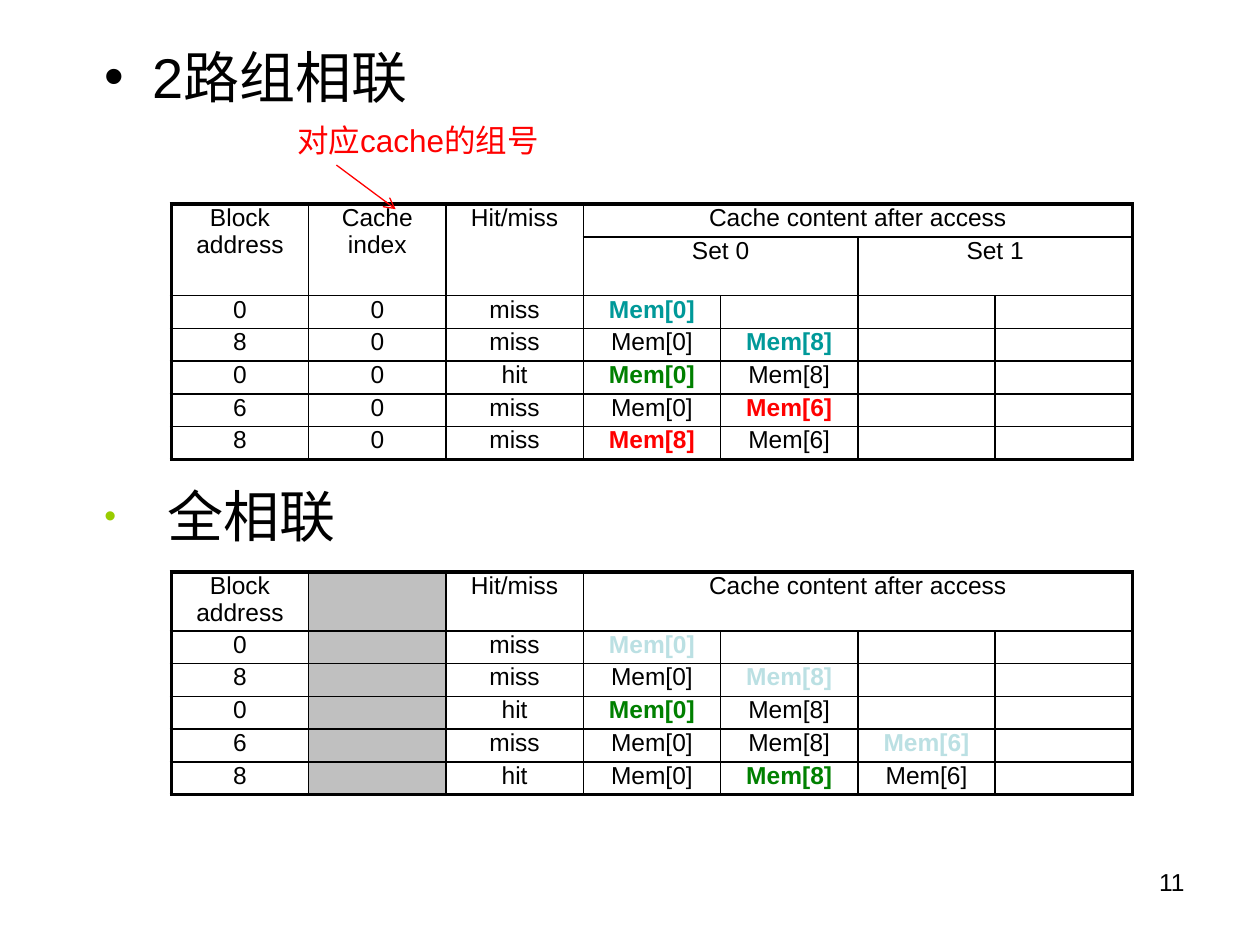
from lxml import etree
from pptx import Presentation
from pptx import util as u
from pptx.dml.color import RGBColor
from pptx.enum import shapes, text
from pptx.oxml import ns

BLACK = RGBColor(0x00, 0x00, 0x00)
RED = RGBColor(0xFF, 0x00, 0x00)
GREEN = RGBColor(0x00, 0x80, 0x00)
TEAL = RGBColor(0x00, 0x99, 0x99)
PALE = RGBColor(0xBB, 0xE0, 0xE3)
GRAY = RGBColor(0xC0, 0xC0, 0xC0)
LIME = RGBColor(0x99, 0xCC, 0x00)

COLUMNS = 7
COLUMN_WIDTH = 1.09
ROW_HEIGHT = 0.26
TALL_ROW = 0.44
TABLE_LEFT = 1.36
THIN, THICK = 1, 2.25

SET_ROWS = [
    ["Block address", "Cache index", "Hit/miss", "Cache content after access"],
    ["", "", "", "Set 0", "", "Set 1"],
    ["0", "0", "miss", "Mem[0]"],
    ["8", "0", "miss", "Mem[0]", "Mem[8]"],
    ["0", "0", "hit", "Mem[0]", "Mem[8]"],
    ["6", "0", "miss", "Mem[0]", "Mem[6]"],
    ["8", "0", "miss", "Mem[8]", "Mem[6]"],
]
SET_MERGES = [(0, 0, 1, 0), (0, 1, 1, 1), (0, 2, 1, 2),
              (0, 3, 0, 6), (1, 3, 1, 4), (1, 5, 1, 6)]
SET_MARKS = {(2, 3): TEAL, (3, 4): TEAL, (4, 3): GREEN, (5, 4): RED, (6, 3): RED}

FULL_ROWS = [
    ["Block address", "", "Hit/miss", "Cache content after access"],
    ["0", "", "miss", "Mem[0]"],
    ["8", "", "miss", "Mem[0]", "Mem[8]"],
    ["0", "", "hit", "Mem[0]", "Mem[8]"],
    ["6", "", "miss", "Mem[0]", "Mem[8]", "Mem[6]"],
    ["8", "", "hit", "Mem[0]", "Mem[8]", "Mem[6]"],
]
FULL_MERGES = [(0, 3, 0, 6)]
FULL_MARKS = {(1, 3): PALE, (2, 4): PALE, (3, 3): GREEN, (4, 5): PALE, (5, 4): GREEN}


def add_xml(parent, tag, **attributes):
    return etree.SubElement(parent, ns.qn(tag), attributes)


def write(paragraph, words, size, color=BLACK, bold=False):
    run = paragraph.add_run()
    run.text = words
    for name, value in {"name": "Arial", "size": u.Pt(size), "bold": bold}.items():
        setattr(run.font, name, value)
    run.font.color.rgb = color


def add_text(slide, box, words, size, color=BLACK, **paragraph_format):
    frame = slide.shapes.add_textbox(*map(u.Inches, box)).text_frame
    frame.word_wrap = True
    paragraph = frame.paragraphs[0]
    for name, value in paragraph_format.items():
        setattr(paragraph, name, value)
    write(paragraph, words, size, color)
    return paragraph


def add_bullet(paragraph, indent, color=None, percent=100):
    properties = paragraph._p.get_or_add_pPr()
    properties.set("marL", str(u.Inches(indent)))
    properties.set("indent", str(-u.Inches(indent)))
    if color is not None:
        add_xml(add_xml(properties, "a:buClr"), "a:srgbClr", val=str(color))
    add_xml(properties, "a:buSzPct", val=str(percent * 1000))
    add_xml(properties, "a:buFont", typeface="Arial")
    add_xml(properties, "a:buChar", char="•")


def set_borders(cell, at_edge):
    properties = cell._tc.get_or_add_tcPr()
    for side, thick in zip("LRTB", at_edge):
        width = u.Pt(THICK if thick else THIN)
        border = add_xml(properties, f"a:ln{side}", w=str(width))
        add_xml(add_xml(border, "a:solidFill"), "a:srgbClr", val=str(BLACK))


def fill_cell(cell, words, mark, shaded):
    margins = {"margin_left": 0.1, "margin_right": 0.1, "margin_top": 0, "margin_bottom": 0}
    for name, value in margins.items():
        setattr(cell, name, u.Inches(value))
    if shaded:
        cell.fill.solid()
        cell.fill.fore_color.rgb = GRAY
    else:
        cell.fill.background()
    paragraph = cell.text_frame.paragraphs[0]
    paragraph.alignment = text.PP_ALIGN.CENTER
    if words:
        write(paragraph, words, 14, mark or BLACK, mark is not None)
    else:
        add_xml(paragraph._p, "a:endParaRPr", sz="1400")


def add_cache_table(slide, top, rows, merges, marks, tall_row, shaded_column=None):
    heights = [TALL_ROW if r == tall_row else ROW_HEIGHT for r in range(len(rows))]
    box = (TABLE_LEFT, top, COLUMNS * COLUMN_WIDTH, sum(heights))
    table = slide.shapes.add_table(len(rows), COLUMNS, *map(u.Inches, box)).table
    table.first_row = table.horz_banding = False
    for column in table.columns:
        column.width = u.Inches(COLUMN_WIDTH)
    for row, height in zip(table.rows, heights):
        row.height = u.Inches(height)
    for r1, c1, r2, c2 in merges:
        table.cell(r1, c1).merge(table.cell(r2, c2))
    for r, entries in enumerate(rows):
        padded = entries + [""] * (COLUMNS - len(entries))
        for c, words in enumerate(padded):
            cell = table.cell(r, c)
            width = cell.span_width if cell.is_merge_origin else 1
            height = cell.span_height if cell.is_merge_origin else 1
            set_borders(cell, (c == 0, c + width == COLUMNS, r == 0, r + height == len(rows)))
            fill_cell(cell, words, marks.get((r, c)), c == shaded_column)


def add_arrow(slide, start, end):
    arrow = slide.shapes.add_connector(
        shapes.MSO_CONNECTOR.STRAIGHT, *map(u.Inches, start + end))
    arrow.line.color.rgb = RED
    arrow.line.width = u.Pt(0.75)
    add_xml(arrow.line._get_or_add_ln(), "a:tailEnd", type="arrow")
    add_xml(arrow._element.spPr, "a:effectLst")


def main():
    deck = Presentation()
    deck.slide_width, deck.slide_height = u.Inches(10), u.Inches(7.5)
    slide = deck.slides.add_slide(deck.slide_layouts[6])

    add_text(slide, (7.17, 6.83, 2.33, 0.52), "11", 14, alignment=text.PP_ALIGN.RIGHT)
    set_heading = add_text(slide, (0.73, 0.29, 9.05, 0.79), "2路组相联", 32)
    add_bullet(set_heading, 0.38)
    add_cache_table(slide, 1.62, SET_ROWS, SET_MERGES, SET_MARKS, tall_row=1)

    full_heading = add_text(slide, (0.73, 3.83, 8.5, 0.63), "全相联", 32, line_spacing=0.9)
    add_bullet(full_heading, 0.5, LIME, 60)
    add_cache_table(slide, 4.54, FULL_ROWS, FULL_MERGES, FULL_MARKS,
                    tall_row=0, shaded_column=1)

    add_text(slide, (2.26, 0.91, 2.28, 0.4), "对应cache的组号", 18, RED)
    add_arrow(slide, (2.67, 1.31), (3.14, 1.66))
    deck.save("out.pptx")


main()
